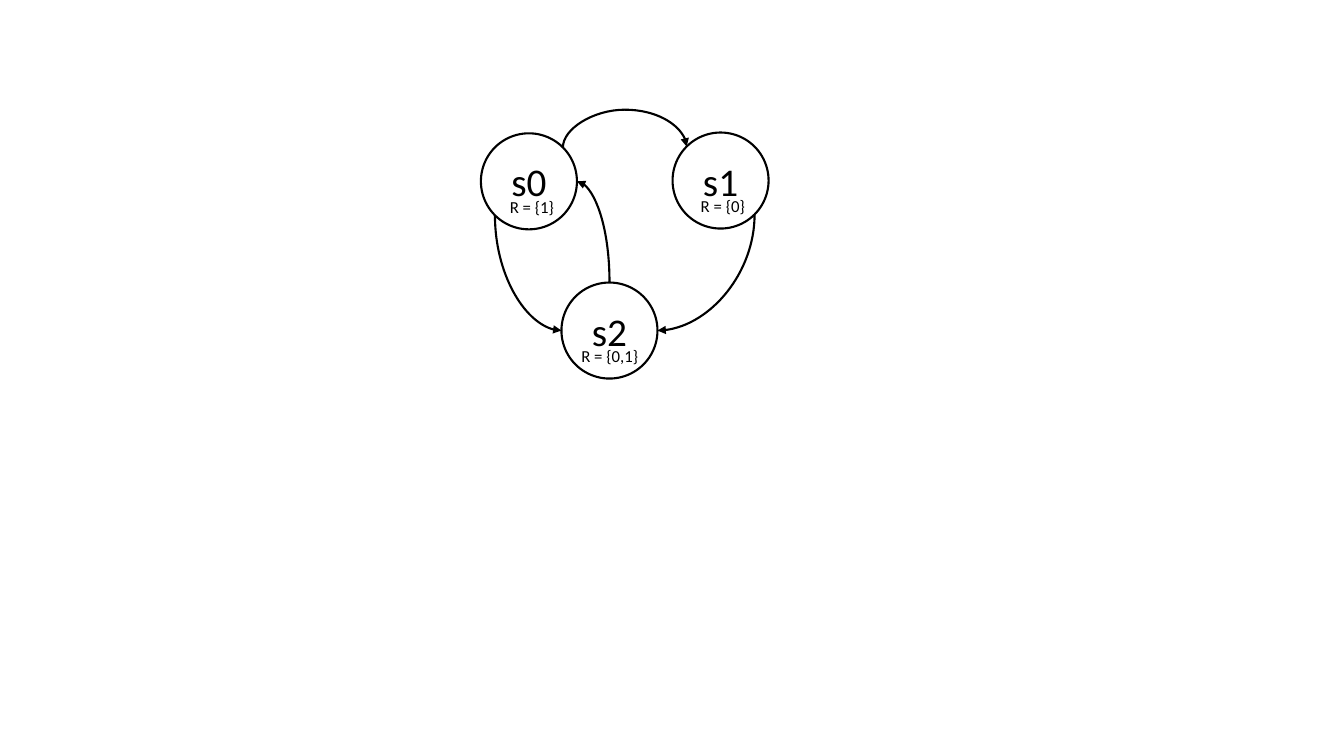
from math import cos, radians, sin

from lxml import etree
from pptx import Presentation
from pptx.dml.color import RGBColor
from pptx.enum.shapes import MSO_CONNECTOR, MSO_SHAPE
from pptx.enum.text import MSO_ANCHOR, MSO_AUTO_SIZE, PP_ALIGN
from pptx.oxml.ns import qn
from pptx.util import Cm, Pt

OVAL = MSO_SHAPE.OVAL
CURVE = MSO_CONNECTOR.CURVE
MIDDLE = MSO_ANCHOR.MIDDLE
FIT = MSO_AUTO_SIZE.SHAPE_TO_FIT_TEXT
CENTER = PP_ALIGN.CENTER

FONT = "Calibri"
INK = "000000"
PAPER = "FFFFFF"
SIZE = 2.42  # diameter of a state, in cm
LIFT = 0.95  # height of the arc above its start, in cm

# name: left, top (within the diagram), label, label indent, label width
STATES = {
    "s0": (0, 0.02, "R = {1}", 0.48, 1.65),
    "s1": (4.83, 0, "R = {0}", 0.46, 1.65),
    "s2": (2.03, 3.78, "R = {0,1}", 0.25, 1.96),
}

# Sites of an oval run counterclockwise from the top in steps of 45 degrees
TOP, TOP_LEFT, LEFT, LOW_LEFT, LOW_RIGHT, RIGHT, TOP_RIGHT = 0, 1, 2, 3, 5, 6, 7
MOVES = [
    ("s2", TOP, "s0", RIGHT, False),
    ("s0", TOP_RIGHT, "s1", TOP_LEFT, True),
    ("s1", LOW_RIGHT, "s2", RIGHT, False),
    ("s0", LOW_LEFT, "s2", LEFT, False),
]


def color(code):
    return RGBColor.from_string(code)


def write(shape, text, size):
    frame = shape.text_frame
    frame.text = text
    frame.word_wrap = False
    font = frame.paragraphs[0].runs[0].font
    font.name, font.size = FONT, Pt(size)
    font.color.rgb = color(INK)
    return frame


def stroke(line):
    line.color.rgb = color(INK)
    line.width = Pt(1.5)


def add_state(slide, name, left, top):
    oval = slide.shapes.add_shape(OVAL, Cm(left), Cm(top), Cm(SIZE), Cm(SIZE))
    oval.shadow.inherit = False
    oval.fill.solid()
    oval.fill.fore_color.rgb = color(PAPER)
    stroke(oval.line)
    frame = write(oval, name, 28)
    frame.vertical_anchor = MIDDLE
    frame.paragraphs[0].alignment = CENTER
    return oval


def add_label(slide, text, left, top, width):
    box = slide.shapes.add_textbox(Cm(left), Cm(top), Cm(width), Cm(0.77))
    write(box, text, 12).auto_size = FIT


def site(oval, index):
    """Return the point of a connection site on an oval."""
    turn, half = radians(45 * index), oval.width / 2
    return (oval.left + half - half * sin(turn),
            oval.top + half - half * cos(turn))


def add_move(slide, start, out, end, into, arc):
    """Draw a curved arrow that leaves its start vertically."""
    x1, y1 = site(start, out)
    x2, y2 = site(end, into)
    down = y2 > y1
    wide, high = abs(y2 - y1), abs(x2 - x1)
    link = slide.shapes.add_connector(CURVE, 0, 0, 0, 0)
    link.left, link.top = int((x1 + x2 - wide) / 2), int((y1 + y2 - high) / 2)
    link.width, link.height = int(wide), int(high)
    link.rotation = 90 if down else 270
    stroke(link.line)

    props = link._element.spPr
    if (x2 > x1) == down:
        props.find(qn("a:xfrm")).set("flipV", "1")
    shape = props.find(qn("a:prstGeom"))
    shape.set("prst", "curvedConnector3" if arc else "curvedConnector2")
    if arc:
        bend = round(Cm(LIFT) / wide * 100000)
        guides = shape.find(qn("a:avLst"))
        etree.SubElement(guides, qn("a:gd"), name="adj1", fmla=f"val {bend}")
    etree.SubElement(props.find(qn("a:ln")), qn("a:tailEnd"), type="triangle")
    etree.SubElement(props, qn("a:effectLst"))

    joints = link._element.find(qn("p:nvCxnSpPr")).find(qn("p:cNvCxnSpPr"))
    for tag, oval, index in (("a:stCxn", start, out), ("a:endCxn", end, into)):
        etree.SubElement(joints, qn(tag), id=str(oval.shape_id), idx=str(index))


def add_graph(slide, left, top):
    ovals = {name: add_state(slide, name, left + x, top + y)
             for name, (x, y, *_) in STATES.items()}
    for start, out, end, into, arc in MOVES:
        add_move(slide, ovals[start], out, ovals[end], into, arc)
    for x, y, label, indent, width in STATES.values():
        add_label(slide, label, left + x + indent, top + y + 1.48, width)


def main():
    deck = Presentation()
    deck.slide_width, deck.slide_height = Cm(33.87), Cm(19.05)
    slide = deck.slides.add_slide(deck.slide_layouts[6])
    add_graph(slide, 12.12, 3.34)
    deck.save("out.pptx")


if __name__ == "__main__":
    main()
